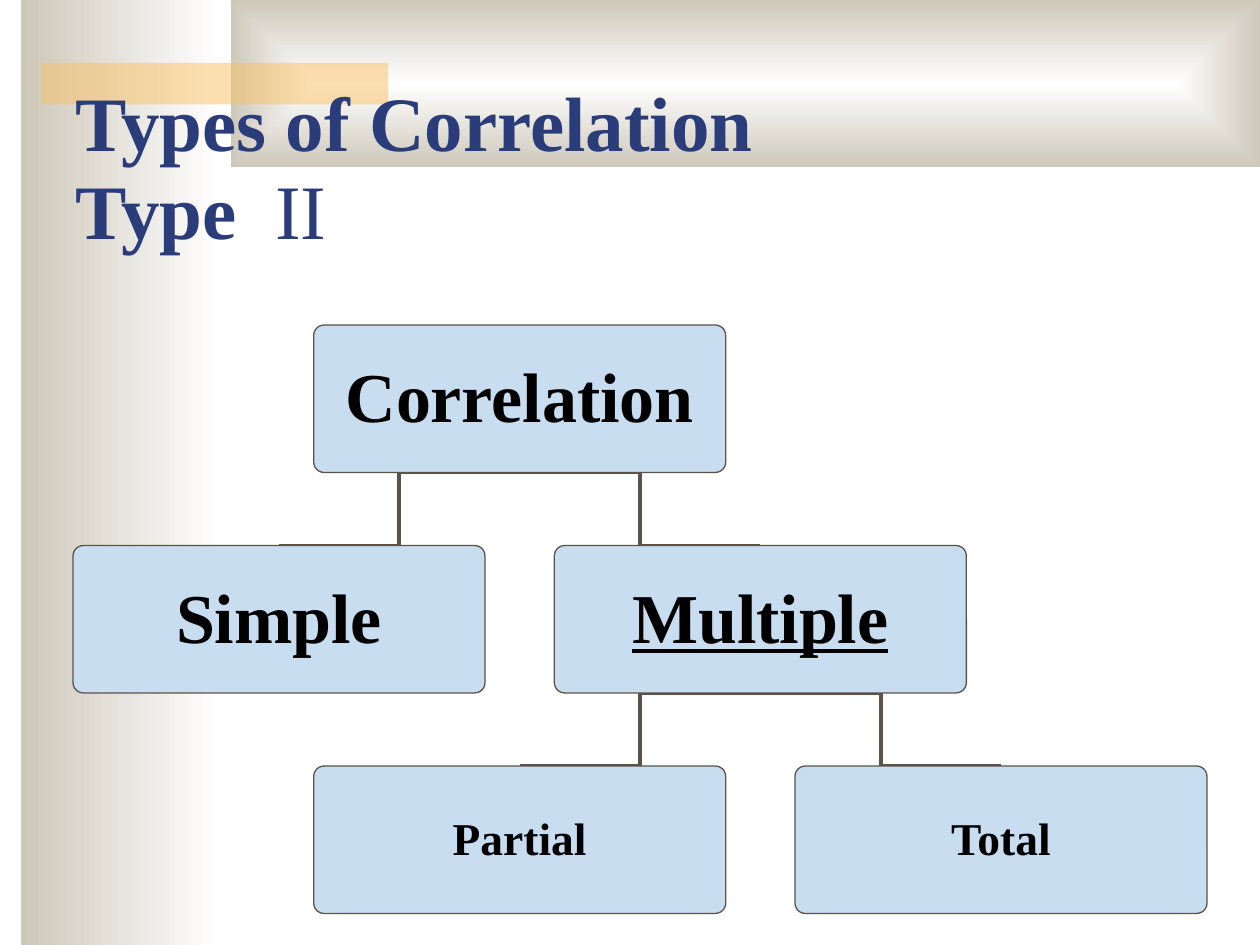
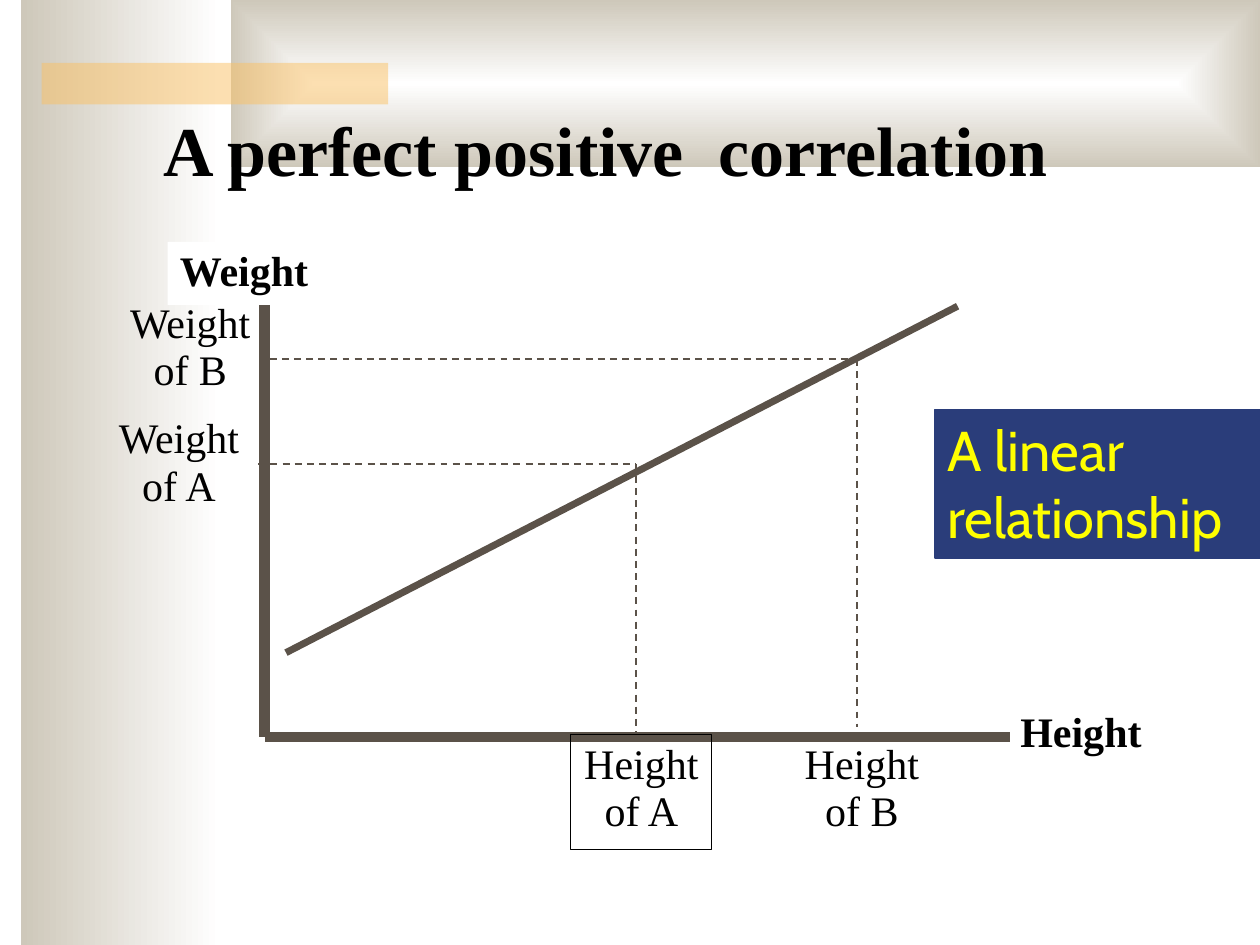
import dataclasses

import lxml.etree
import pptx
import pptx.dml.color
import pptx.enum.dml
import pptx.enum.shapes
import pptx.enum.text
import pptx.oxml.ns
import pptx.util

Inches = pptx.util.Inches
Pt = pptx.util.Pt
RGB = pptx.dml.color.RGBColor.from_string
qn = pptx.oxml.ns.qn
SHAPE = pptx.enum.shapes.MSO_SHAPE
CONNECTOR = pptx.enum.shapes.MSO_CONNECTOR
ALIGN = pptx.enum.text.PP_ALIGN
ANCHOR = pptx.enum.text.MSO_ANCHOR


@dataclasses.dataclass(frozen=True)
class Theme:
    # Colours
    white: str = "FFFFFF"
    sand: str = "CEC8BA"
    amber: str = "FAC164"
    navy: str = "2A3D7A"
    black: str = "000000"
    brown: str = "5B5249"
    node: str = "C9DDF1"
    yellow: str = "FFFF00"
    # Fonts and sizes
    serif: str = "Times New Roman"
    sans: str = "Cabin"
    main_title: int = 44
    title: int = 40
    callout: int = 32
    leaf: int = 26
    label: int = 24
    line_spacing: float = 0.95


class Deck:
    def __init__(self, theme):
        self.theme = theme
        self.prs = pptx.Presentation()
        self.prs.slide_width, self.prs.slide_height = Inches(10), Inches(7.5)
        self.slide = None

    def new_slide(self):
        """Start a slide with the shared bands."""
        self.slide = self.prs.slides.add_slide(self.prs.slide_layouts[6])
        self.gradient(self.box(0.17, 0, 1.58, 7.5))
        self.gradient(self.box(1.83, 0, 8.17, 1.33), from_centre=True)
        accent = self.box(0.33, 0.5, 2.75, 0.33, fill=self.theme.amber)
        colour = accent.element.spPr.find(qn("a:solidFill"))[0]
        lxml.etree.SubElement(colour, qn("a:alpha"), val="50000")

    def box(self, left, top, width, height, fill=None, line=None, radius=None):
        kind = SHAPE.RECTANGLE if radius is None else SHAPE.ROUNDED_RECTANGLE
        shape = self.slide.shapes.add_shape(
            kind, Inches(left), Inches(top), Inches(width), Inches(height))
        shape.shadow.inherit = False
        if radius is not None:
            shape.adjustments[0] = radius
        if fill:
            shape.fill.solid()
            shape.fill.fore_color.rgb = RGB(fill)
        else:
            shape.fill.background()
        if line:
            shape.line.color.rgb = RGB(line)
            shape.line.width = Pt(0.75)
        else:
            shape.line.fill.background()
        return shape

    def gradient(self, shape, from_centre=False):
        """Fade from white to sand, leftwards or outwards from the centre."""
        shape.fill.gradient()
        shape.fill.gradient_angle = 180
        stops = zip(shape.fill.gradient_stops, (0, 1),
                    (self.theme.white, self.theme.sand))
        for stop, position, colour in stops:
            stop.position = position
            stop.color.rgb = RGB(colour)
        if from_centre:
            grad = shape.element.spPr.find(qn("a:gradFill"))
            grad.remove(grad.find(qn("a:lin")))
            focus = lxml.etree.SubElement(grad, qn("a:path"), {"path": "rect"})
            lxml.etree.SubElement(focus, qn("a:fillToRect"),
                                  l="50000", t="50000", r="50000", b="50000")

    def set_text(self, shape, paragraphs, size, colour, bold=False, font=None,
                 align=ALIGN.LEFT, anchor=ANCHOR.TOP, wrap=True, spacing=None):
        frame = shape.text_frame
        frame.word_wrap = wrap
        frame.auto_size = pptx.enum.text.MSO_AUTO_SIZE.NONE
        frame.vertical_anchor = anchor
        for index, text in enumerate(paragraphs):
            paragraph = frame.add_paragraph() if index else frame.paragraphs[0]
            paragraph.text = text
            paragraph.alignment = align
            paragraph.line_spacing = spacing or self.theme.line_spacing
            paragraph.font.name = font or self.theme.serif
            paragraph.font.size = Pt(size)
            paragraph.font.bold = bold
            paragraph.font.color.rgb = RGB(colour)
        return frame

    def title(self, text, left, top, width, height, size, colour):
        heading = self.slide.shapes.add_textbox(
            Inches(left), Inches(top), Inches(width), Inches(height))
        frame = self.set_text(heading, [text], size, colour, bold=True,
                              anchor=ANCHOR.BOTTOM)
        return frame.paragraphs[0]

    def node(self, text, left, top, width, height, size):
        node = self.box(left, top, width, height, self.theme.node,
                        self.theme.brown, radius=0.07)
        frame = self.set_text(node, [text], size, self.theme.black, bold=True,
                              align=ALIGN.CENTER, anchor=ANCHOR.MIDDLE)
        frame.margin_left = frame.margin_right = 0
        frame.margin_top = frame.margin_bottom = 0
        return frame.paragraphs[0]

    def label(self, text, left, top, width, height, bold=False,
              align=ALIGN.CENTER, **style):
        self.set_text(self.box(left, top, width, height, **style), [text],
                      self.theme.label, self.theme.black, bold=bold,
                      align=align, wrap=False)

    def line(self, start, end, width, dashed=False, kind=CONNECTOR.STRAIGHT):
        line = self.slide.shapes.add_connector(
            kind, *(Inches(value) for value in (*start, *end)))
        line.line.color.rgb = RGB(self.theme.brown)
        line.line.width = Pt(width)
        if dashed:
            line.line.dash_style = pptx.enum.dml.MSO_LINE.DASH
        lxml.etree.SubElement(line.element.spPr, qn("a:effectLst"))


def build_types_slide(deck):
    theme = deck.theme
    deck.new_slide()
    heading = deck.title("Types of Correlation\nType ", 0.5, 0.59, 9, 1.5,
                         theme.main_title, theme.navy)
    numeral = heading.add_run()
    numeral.text = " II"
    numeral.font.bold = False

    # Tree: name -> (column, row, size, parent)
    tree = {
        "Correlation": (1, 0, theme.title, None),
        "Simple": (0, 1, theme.title, "Correlation"),
        "Multiple": (2, 1, theme.title, "Correlation"),
        "Partial": (1, 2, theme.leaf, "Multiple"),
        "Total": (3, 2, theme.leaf, "Multiple"),
    }
    width, height = 3.27, 1.17
    corners = {name: (0.58 + 1.91 * column, 2.58 + 1.75 * row)
               for name, (column, row, _, _) in tree.items()}

    # Branches lie behind the nodes
    for name, (_, _, _, parent) in tree.items():
        if parent:
            left, top = corners[name]
            parent_left, parent_top = corners[parent]
            deck.line((left + width / 2, top),
                      (parent_left + width / 2, parent_top + height),
                      2.25, kind=CONNECTOR.ELBOW)
    for name, (_, _, size, _) in tree.items():
        caption = deck.node(name, *corners[name], width, height, size)
        caption.font.underline = name == "Multiple"


def build_positive_slide(deck):
    theme = deck.theme
    deck.new_slide()
    deck.title("A perfect positive  correlation", 1.2, 1.08, 7.61, 0.5,
               theme.title, theme.black)

    # Axes and their names
    origin = (2.1, 5.85)
    deck.line((2.1, 2.35), origin, 6)
    deck.line(origin, (8.02, 5.85), 6)
    deck.label("Height", 8, 5.58, 1.17, 0.48, bold=True, align=ALIGN.LEFT)
    deck.label("Weight", 1.33, 1.92, 1.24, 0.5, bold=True, align=ALIGN.LEFT,
               fill=theme.white)

    # Trend
    deck.line((2.27, 5.18), (7.6, 2.43), 4)

    # Guides: person, point, guide start, guide foot, label corners, outline
    guides = [
        ("A", (5.05, 3.68), 2.05, 5.85, (4.53, 5.83), (0.83, 3.25), theme.black),
        ("B", (6.8, 2.85), 2.14, 5.77, (6.28, 5.83), (0.92, 2.33), None),
    ]
    for person, point, start, foot, height_at, weight_at, outline in guides:
        deck.line((start, point[1]), point, 1, dashed=True)
        deck.line(point, (point[0], foot), 1, dashed=True)
        deck.label(f"Height\nof {person}", *height_at, 1.12, 0.91, line=outline)
        deck.label(f"Weight\nof {person}", *weight_at, 1.18, 0.86)

    # Callout
    callout = deck.box(7.42, 3.25, 2.58, 1.18, theme.navy, theme.navy)
    deck.set_text(callout, ["A linear", "relationship"], theme.callout,
                  theme.yellow, font=theme.sans, spacing=1.0)


def main():
    deck = Deck(Theme())
    build_types_slide(deck)
    build_positive_slide(deck)
    deck.prs.save("out.pptx")


if __name__ == "__main__":
    main()
